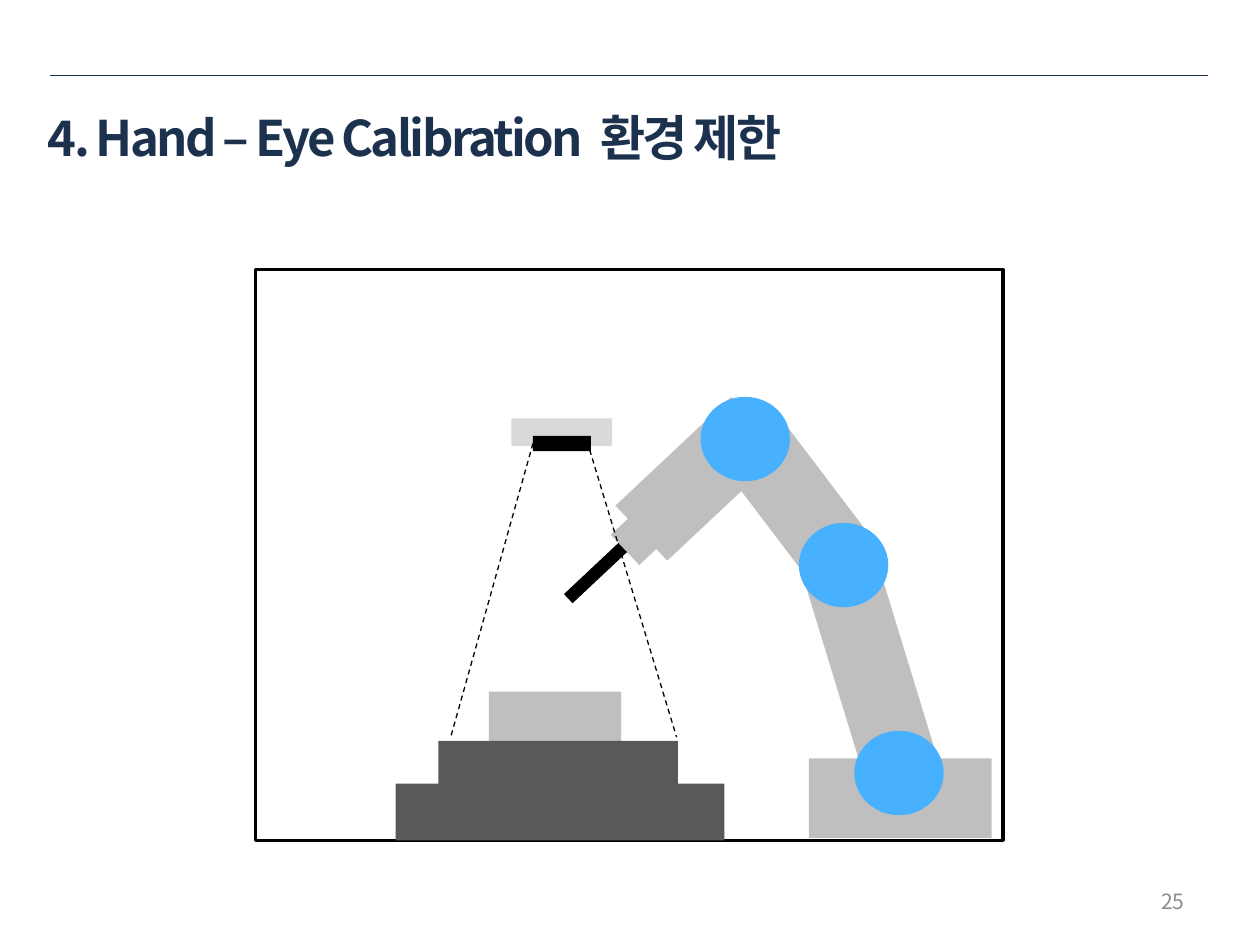
from lxml import etree
from pptx import Presentation
from pptx.dml.color import RGBColor
from pptx.enum.dml import MSO_LINE
from pptx.enum.shapes import MSO_CONNECTOR, MSO_SHAPE
from pptx.enum.text import MSO_ANCHOR, MSO_AUTO_SIZE, PP_ALIGN
from pptx.oxml.ns import qn
from pptx.util import Inches, Pt

RECTANGLE, OVAL = MSO_SHAPE.RECTANGLE, MSO_SHAPE.OVAL
FONT = "Noto Sans CJK KR"
COLORS = {
    "white": "FFFFFF", "black": "000000", "navy": "1C314E", "number": "8C8C8C",
    "dark": "595959", "arm": "BFBFBF", "mount": "D9D9D9", "joint": "47B0FF",
}

# Content: title pieces with letter spacing in points (wider gap before the Korean)
TITLE = [("4. Hand – Eye Calibration", -1.5), (" ", 3.5), ("환경 제한", -1.5)]
PAGE_NUMBER = "25"
JOINT_SIZE = (0.71, 0.67)
TOOL_ANGLE = 316.8

# Blocks: (left, top, width, height), colour, rotation
WORKBENCH = [
    ((3.14, 6.22, 2.61, 0.45), "dark", 0),
    ((3.88, 5.49, 1.05, 0.40), "arm", 0),
]
LOWER_ARM = [
    ((5.86, 5.19, 2.21, 0.60), "arm", 73),
    ((6.42, 6.02, 1.45, 0.63), "arm", 0),
    ((5.66, 3.73, 1.40, 0.60), "arm", 52.8),
]
TOOL_ARM = [
    ((4.34, 4.27, 1.26, 0.10), "black", TOOL_ANGLE),
    ((4.92, 3.50, 1.26, 0.60), "arm", TOOL_ANGLE),
]
WRIST = [((4.87, 3.97, 0.67, 0.33), "arm", TOOL_ANGLE)]
TABLE_AND_CAMERA = [
    ((3.48, 5.88, 1.90, 0.46), "dark", 0),
    ((4.06, 3.32, 0.80, 0.22), "mount", 0),
    ((4.23, 3.46, 0.46, 0.12), "black", 0),
]
ELBOW, SHOULDER, BASE = (6.34, 4.15), (5.56, 3.15), (6.78, 5.80)
VIEW_LINES = [(4.23, 3.52, 3.58, 5.84), (4.68, 3.57, 5.37, 5.85)]


def color(name):
    return RGBColor.from_string(COLORS[name])


def add_block(slide, box, fill, rotation=0, kind=RECTANGLE):
    shape = slide.shapes.add_shape(kind, *map(Inches, box))
    shape.shadow.inherit = False
    shape.fill.solid()
    shape.fill.fore_color.rgb = color(fill)
    shape.line.fill.background()
    shape.rotation = rotation
    return shape


def add_blocks(slide, blocks):
    for box, fill, rotation in blocks:
        add_block(slide, box, fill, rotation)


def add_joint(slide, corner):
    add_block(slide, (*corner, *JOINT_SIZE), "joint", kind=OVAL)


def add_line(slide, ends, name, width, dash=None):
    line = slide.shapes.add_connector(MSO_CONNECTOR.STRAIGHT, *map(Inches, ends))
    line.line.color.rgb = color(name)
    line.line.width = Pt(width)
    if dash:
        line.line.dash_style = dash
    etree.SubElement(line._element.spPr, qn("a:effectLst"))


def place_text(shape, box, align):
    shape.left, shape.top, shape.width, shape.height = map(Inches, box)
    frame = shape.text_frame
    frame.word_wrap = True
    frame.auto_size = MSO_AUTO_SIZE.NONE
    frame.vertical_anchor = MSO_ANCHOR.MIDDLE
    frame.paragraphs[0].alignment = align


def format_run(run, size, name, bold=False):
    run.font.size = Pt(size)
    run.font.bold = bold
    run.font.color.rgb = color(name)
    run.font.name = FONT
    etree.SubElement(run.font._element, qn("a:ea")).set("typeface", FONT)


def main():
    presentation = Presentation()
    presentation.slide_width, presentation.slide_height = Inches(10), Inches(7.5)
    slide = presentation.slides.add_slide(presentation.slide_layouts[5])

    # Title and header rule
    title = slide.shapes.title
    place_text(title, (0.28, 0.77, 7.65, 0.64), PP_ALIGN.LEFT)
    for text, spacing in TITLE:
        run = title.text_frame.paragraphs[0].add_run()
        run.text = text
        format_run(run, 28, "navy", bold=True)
        run.font._element.set("spc", str(int(spacing * 100)))

    # Work cell frame
    frame = add_block(slide, (2.03, 2.14, 5.93, 4.53), "white")
    frame.line.color.rgb = color("black")
    frame.line.width = Pt(2)
    add_line(slide, (0.4, 0.6, 9.59, 0.6), "navy", 0.25)

    # Page number
    number = slide.shapes.add_textbox(0, 0, 0, 0)
    number.text_frame.text = PAGE_NUMBER
    place_text(number, (7.17, 6.95, 2.33, 0.4), PP_ALIGN.RIGHT)
    format_run(number.text_frame.paragraphs[0].runs[0], 12, "number")

    # Workbench and robot, from back to front
    add_blocks(slide, WORKBENCH + LOWER_ARM)
    add_joint(slide, ELBOW)
    add_blocks(slide, TOOL_ARM)
    add_joint(slide, SHOULDER)
    add_blocks(slide, WRIST)
    add_joint(slide, BASE)

    # Camera and its field of view
    add_blocks(slide, TABLE_AND_CAMERA)
    for ends in VIEW_LINES:
        add_line(slide, ends, "black", 0.75, MSO_LINE.DASH)

    presentation.save("out.pptx")


if __name__ == "__main__":
    main()
